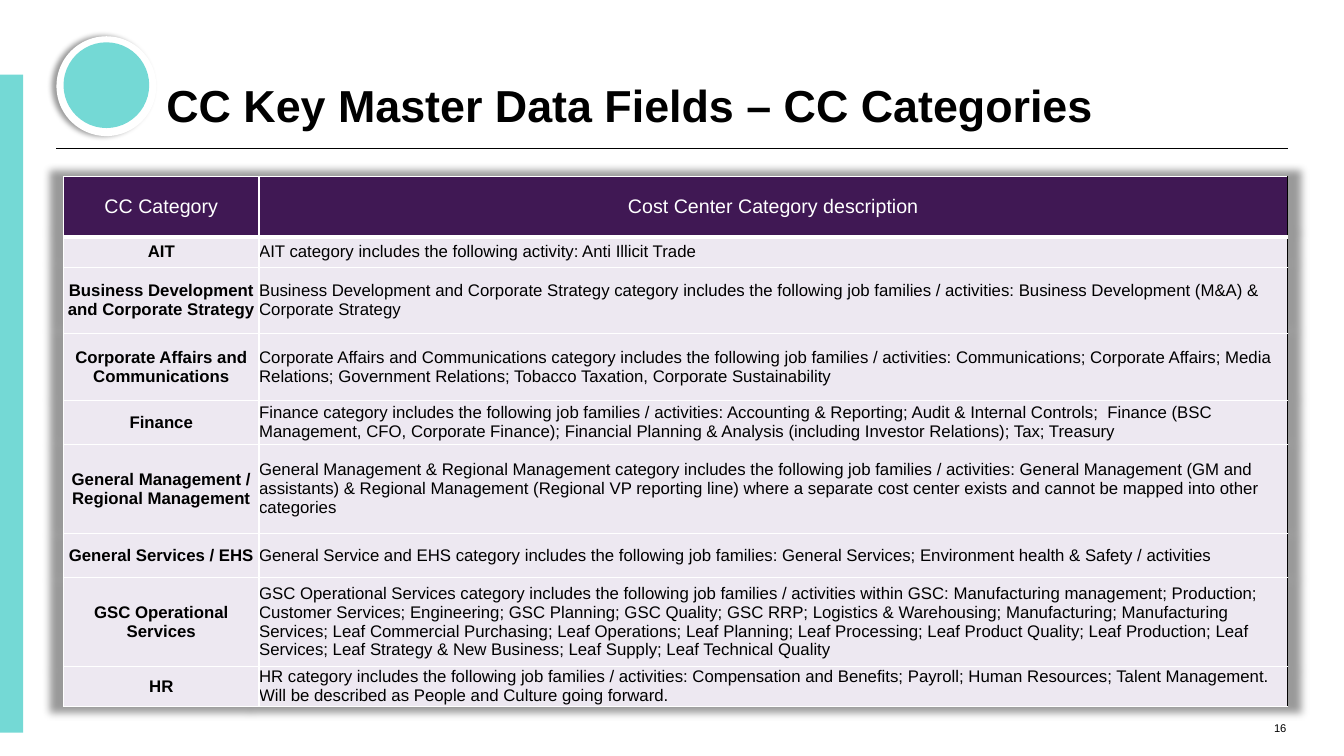
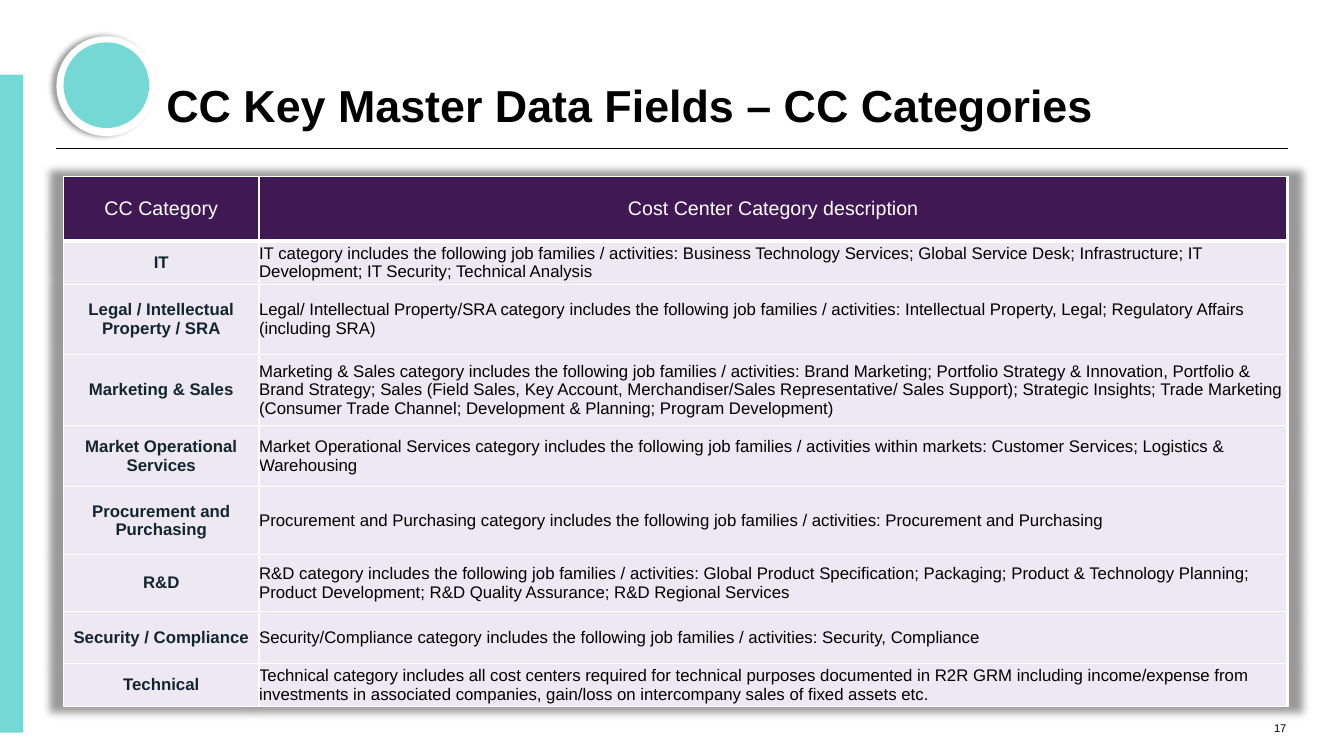
from dataclasses import dataclass

from lxml.etree import SubElement
from pptx import Presentation
from pptx.dml.color import RGBColor
from pptx.enum.shapes import MSO_CONNECTOR, MSO_SHAPE
from pptx.enum.text import MSO_ANCHOR, PP_ALIGN
from pptx.oxml import parse_xml
from pptx.oxml.ns import nsdecls, qn
from pptx.util import Inches, Pt


@dataclass(frozen=True)
class Theme:
    font: str = "Arial"
    black: str = "000000"
    white: str = "FFFFFF"
    teal: str = "74D9D5"
    purple: str = "401854"
    lilac: str = "EDE8F1"
    navy: str = "122632"
    title_size: float = 32
    header_size: float = 14
    body_size: float = 12
    number_size: float = 8
    thin: float = 1
    medium: float = 2.25
    thick: float = 3


THEME = Theme()
TITLE = "CC Key Master Data Fields – CC Categories"
HEADER = ("CC Category", "Cost Center Category description")
COLUMN_WIDTHS = (1.94, 10.2)
TABLE_LEFT, TABLE_TOP = 0.63, 1.75

PAGES = [
    {
        "number": 16,
        "category_color": THEME.black,
        "right_edge": (THEME.black, THEME.thin),
        "row_heights": (0.6, 0.3, 0.66, 0.66, 0.44, 0.88, 0.44, 0.88, 0.36),
        "categories": [
            ("AIT", "AIT category includes the following activity: Anti Illicit Trade"),
            ("Business Development and Corporate Strategy",
             "Business Development and Corporate Strategy category includes the following "
             "job families / activities: Business Development (M&A) & Corporate Strategy"),
            ("Corporate Affairs and Communications",
             "Corporate Affairs and Communications category includes the following job "
             "families / activities: Communications; Corporate Affairs; Media Relations; "
             "Government Relations; Tobacco Taxation, Corporate Sustainability"),
            ("Finance",
             "Finance category includes the following job families / activities: Accounting "
             "& Reporting; Audit & Internal Controls;  Finance (BSC Management, CFO, "
             "Corporate Finance); Financial Planning & Analysis (including Investor "
             "Relations); Tax; Treasury"),
            ("General Management / Regional Management",
             "General Management & Regional Management category includes the following job "
             "families / activities: General Management (GM and assistants) & Regional "
             "Management (Regional VP reporting line) where a separate cost center exists "
             "and cannot be mapped into other categories"),
            ("General Services / EHS",
             "General Service and EHS category includes the following job families: General "
             "Services; Environment health & Safety / activities"),
            ("GSC Operational Services",
             "GSC Operational Services category includes the following job families / "
             "activities within GSC: Manufacturing management; Production; Customer "
             "Services; Engineering; GSC Planning; GSC Quality; GSC RRP; Logistics & "
             "Warehousing; Manufacturing; Manufacturing Services; Leaf Commercial "
             "Purchasing; Leaf Operations; Leaf Planning; Leaf Processing; Leaf Product "
             "Quality; Leaf Production; Leaf Services; Leaf Strategy & New Business; Leaf "
             "Supply; Leaf Technical Quality"),
            ("HR",
             "HR category includes the following job families / activities: Compensation "
             "and Benefits; Payroll; Human Resources; Talent Management. Will be described "
             "as People and Culture going forward."),
        ],
    },
    {
        "number": 17,
        "category_color": THEME.navy,
        "right_edge": (THEME.white, THEME.medium),
        "row_heights": (0.64, 0.43, 0.7, 0.7, 0.61, 0.67, 0.57, 0.51, 0.43),
        "categories": [
            ("IT",
             "IT category includes the following job families / activities: Business "
             "Technology Services; Global Service Desk; Infrastructure; IT Development; IT "
             "Security; Technical Analysis"),
            ("Legal / Intellectual Property / SRA",
             "Legal/ Intellectual Property/SRA category includes the following job families "
             "/ activities: Intellectual Property, Legal; Regulatory Affairs (including SRA)"),
            ("Marketing & Sales",
             "Marketing & Sales category includes the following job families / activities: "
             "Brand Marketing; Portfolio Strategy & Innovation, Portfolio & Brand Strategy; "
             "Sales (Field Sales, Key Account, Merchandiser/Sales Representative/ Sales "
             "Support); Strategic Insights; Trade Marketing (Consumer Trade Channel; "
             "Development & Planning; Program Development)"),
            ("Market Operational Services",
             "Market Operational Services category includes the following job families / "
             "activities within markets: Customer Services; Logistics & Warehousing"),
            ("Procurement and Purchasing",
             "Procurement and Purchasing category includes the following job families / "
             "activities: Procurement and Purchasing"),
            ("R&D",
             "R&D category includes the following job families / activities: Global Product "
             "Specification; Packaging; Product & Technology Planning; Product Development; "
             "R&D Quality Assurance; R&D Regional Services"),
            ("Security / Compliance",
             "Security/Compliance category includes the following job families / "
             "activities: Security, Compliance"),
            ("Technical",
             "Technical category includes all cost centers required for technical purposes "
             "documented in R2R GRM including income/expense from investments in associated "
             "companies, gain/loss on intercompany sales of fixed assets etc."),
        ],
    },
]


def rgb(color):
    return RGBColor.from_string(color)


def shadow_effect(**settings):
    """Effect list with one outer shadow of 40 % black."""
    attributes = " ".join(f'{key}="{setting}"' for key, setting in settings.items())
    return parse_xml(
        f'<a:effectLst {nsdecls("a")}><a:outerShdw {attributes} rotWithShape="0">'
        f'<a:srgbClr val="{THEME.black}"><a:alpha val="40000"/></a:srgbClr>'
        "</a:outerShdw></a:effectLst>")


def write(frame, text, size, color=THEME.black, bold=False, align=PP_ALIGN.LEFT):
    frame.text = text
    paragraph = frame.paragraphs[0]
    paragraph.alignment = align
    for run in paragraph.runs:
        run.font.name = THEME.font
        run.font.size = Pt(size)
        run.font.bold = bold
        run.font.color.rgb = rgb(color)
    return paragraph


def add_text(slide, box, text, size, **style):
    """Text box without margins, anchored at its bottom."""
    frame = slide.shapes.add_textbox(*map(Inches, box)).text_frame
    frame.margin_left = frame.margin_top = frame.margin_right = frame.margin_bottom = 0
    frame.word_wrap = True
    frame.vertical_anchor = MSO_ANCHOR.BOTTOM
    return write(frame, text, size, **style)


def add_filled(shapes, kind, box, color):
    shape = shapes.add_shape(kind, *map(Inches, box))
    shape.shadow.inherit = False
    shape.fill.solid()
    shape.fill.fore_color.rgb = rgb(color)
    shape.line.fill.background()
    return shape


def add_frame(slide, number):
    """Rule, side band, badge, title and page number shared by all slides."""
    rule = slide.shapes.add_connector(
        MSO_CONNECTOR.STRAIGHT, *map(Inches, (0.56, 1.47, 12.77, 1.47)))
    rule.line.color.rgb = rgb(THEME.black)
    rule.line.width = Pt(0.75)
    SubElement(rule._element.spPr, qn("a:effectLst"))

    add_filled(slide.shapes, MSO_SHAPE.RECTANGLE, (0, 0.74, 0.23, 6.53), THEME.teal)
    badge = slide.shapes.add_group_shape().shapes
    ring = add_filled(badge, MSO_SHAPE.OVAL, (0.56, 0.36, 0.99, 0.99), THEME.white)
    properties = ring._element.spPr
    properties.replace(
        properties.find(qn("a:effectLst")),
        shadow_effect(blurRad=Pt(4), dist=Pt(3), dir=180 * 60000, algn="r"))
    add_filled(badge, MSO_SHAPE.OVAL, (0.63, 0.42, 0.85, 0.85), THEME.teal)

    add_text(slide, (12.33, 6.89, 0.43, 0.4), str(number), THEME.number_size,
             align=PP_ALIGN.RIGHT)
    title = add_text(slide, (1.65, 0.23, 9.74, 1.08), TITLE, THEME.title_size, bold=True)
    title.line_spacing = 0.9


def set_borders(cell, **edges):
    """Draw each edge (L, R, T, B) given as (colour, points)."""
    properties = cell._tc.get_or_add_tcPr()
    for side, (color, points) in edges.items():
        properties.append(parse_xml(
            f'<a:ln{side} {nsdecls("a")} w="{Pt(points)}"><a:solidFill>'
            f'<a:srgbClr val="{color}"/></a:solidFill></a:ln{side}>'))


def cell_style(row, column, category_color):
    if row == 0:
        return dict(size=THEME.header_size, color=THEME.white, align=PP_ALIGN.CENTER)
    if column == 0:
        return dict(size=THEME.body_size, color=category_color, bold=True,
                    align=PP_ALIGN.CENTER)
    return dict(size=THEME.body_size)


def add_category_table(slide, page):
    rows = [HEADER, *page["categories"]]
    heights = page["row_heights"]
    table = slide.shapes.add_table(
        len(rows), len(HEADER), Inches(TABLE_LEFT), Inches(TABLE_TOP),
        Inches(sum(COLUMN_WIDTHS)), Inches(sum(heights))).table
    table.horz_banding = False
    table._tbl.tblPr.insert(
        0, shadow_effect(blurRad=Pt(5), sx=102000, sy=102000, algn="ctr"))
    for column, width in zip(table.columns, COLUMN_WIDTHS):
        column.width = Inches(width)

    thin, medium, thick = (
        (THEME.white, points) for points in (THEME.thin, THEME.medium, THEME.thick))
    for r, (texts, height) in enumerate(zip(rows, heights)):
        table.rows[r].height = Inches(height)
        for c, text in enumerate(texts):
            cell = table.cell(r, c)
            cell.margin_left = cell.margin_top = cell.margin_right = cell.margin_bottom = 0
            cell.vertical_anchor = MSO_ANCHOR.MIDDLE
            set_borders(cell,
                        L=medium if c else thin,
                        R=page["right_edge"] if c else medium,
                        T=thin,
                        B=thin if r else thick)
            cell.fill.solid()
            cell.fill.fore_color.rgb = rgb(THEME.lilac if r else THEME.purple)
            write(cell.text_frame, text, **cell_style(r, c, page["category_color"]))


def main():
    deck = Presentation()
    deck.slide_width, deck.slide_height = Inches(13.33), Inches(7.5)
    blank = deck.slide_layouts[6]
    for page in PAGES:
        slide = deck.slides.add_slide(blank)
        add_frame(slide, page["number"])
        add_category_table(slide, page)
    deck.save("out.pptx")


if __name__ == "__main__":
    main()
